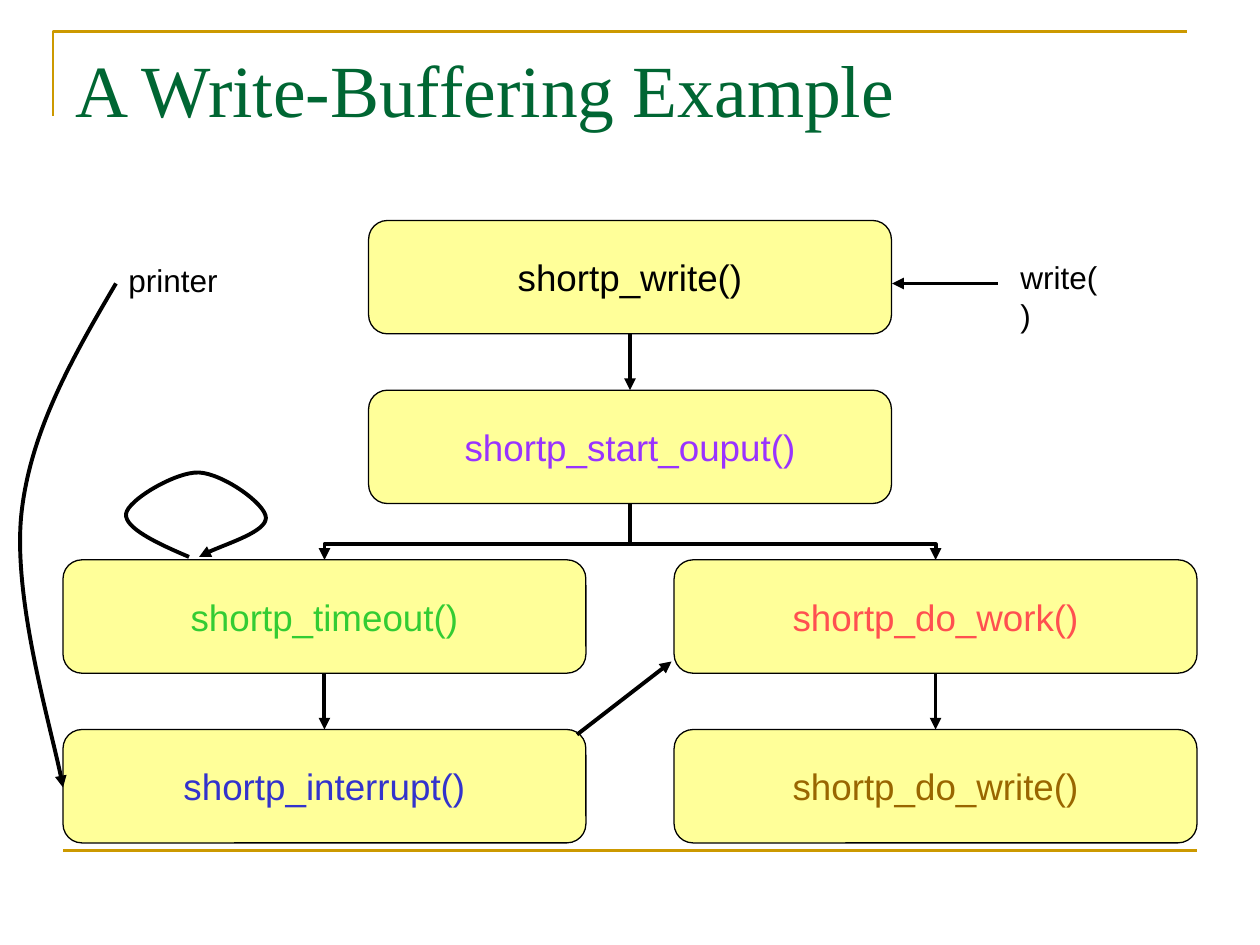
from dataclasses import dataclass

from lxml import etree
from pptx import Presentation
from pptx.dml.color import RGBColor
from pptx.enum.shapes import MSO_CONNECTOR, MSO_SHAPE
from pptx.enum.text import MSO_ANCHOR, MSO_AUTO_SIZE, PP_ALIGN
from pptx.oxml.ns import qn
from pptx.util import Inches, Pt

STRAIGHT, ELBOW = MSO_CONNECTOR.STRAIGHT, MSO_CONNECTOR.ELBOW
ROUND = MSO_SHAPE.ROUNDED_RECTANGLE
TOP, MIDDLE = MSO_ANCHOR.TOP, MSO_ANCHOR.MIDDLE
LEFT, CENTER = PP_ALIGN.LEFT, PP_ALIGN.CENTER
FIXED, GROW = MSO_AUTO_SIZE.NONE, MSO_AUTO_SIZE.SHAPE_TO_FIT_TEXT


@dataclass(frozen=True)
class Theme:
    title: str = "006633"
    rule: str = "CC9900"
    ink: str = "000000"
    box: str = "FFFF99"
    serif: str = "Times New Roman"
    sans: str = "Arial"
    title_size: float = 42
    box_size: float = 21
    label_size: float = 18
    rule_width: float = 1.5
    edge_width: float = 0.75
    arrow_width: float = 2.25


THEME = Theme()
WIDE, HIGH = 10, 7.5
X0, Y0 = 0.5, 1.75
COL, ROW = 4.85 / 2, 4.04 / 3
BOX_W, BOX_H = 4.15, 0.9

BOXES = [
    (1, 0, "shortp_write()", THEME.ink),
    (1, 1, "shortp_start_ouput()", "9933FF"),
    (0, 2, "shortp_timeout()", "33CC33"),
    (2, 2, "shortp_do_work()", "FF5050"),
    (0, 3, "shortp_interrupt()", "3333CC"),
    (2, 3, "shortp_do_write()", "996600"),
]
DROPS = [(1, 0), (0, 2), (2, 2)]
LABELS = [("printer", 0.92, 2.02, 0.91), ("write()", 8, 2, 0.89)]
ARROWS = [((4.58, 5.83), (5.33, 5.25)), ((7.92, 2.25), (7.08, 2.25))]
LOOP = [(1.5, 4.42), (1.24, 4.31), (0.99, 4.19), (1, 4.08),
        (1.01, 3.97), (1.4, 3.74), (1.58, 3.75),
        (1.77, 3.76), (2.11, 4), (2.11, 4.11),
        (2.11, 4.22), (1.69, 4.35), (1.58, 4.42)]
SWEEP = [(0.92, 2.25), (0.58, 2.83), (0.24, 3.42), (0.17, 4.08),
         (0.1, 4.75), (0.44, 5.89), (0.5, 6.25)]


def color(code):
    return RGBColor.from_string(code)


def corner(col, row):
    return X0 + col * COL, Y0 + row * ROW


def middle(col):
    return X0 + col * COL + BOX_W / 2


def write(frame, text, face, size, code, align=LEFT):
    frame.text = text
    para = frame.paragraphs[0]
    para.alignment = align
    para.font.name = face
    para.font.size = Pt(size)
    para.font.color.rgb = color(code)


def stroke(shape, code, width, arrow=False):
    shape.line.color.rgb = color(code)
    shape.line.width = Pt(width)
    if arrow:
        ln = shape.line._get_or_add_ln()
        etree.SubElement(ln, qn("a:tailEnd"), type="triangle")


def link(slide, start, end, kind=STRAIGHT, code=THEME.ink,
         width=THEME.arrow_width, arrow=True):
    ends = [Inches(n) for n in (*start, *end)]
    line = slide.shapes.add_connector(kind, *ends)
    stroke(line, code, width, arrow)
    etree.SubElement(line._element.spPr, qn("a:effectLst"))
    return line


def branch(slide, start, end, bend):
    (x1, y1), (x2, y2) = start, end
    mid_x, mid_y = (x1 + x2) / 2, (y1 + y2) / 2
    half_w, half_h = (y2 - y1) / 2, abs(x2 - x1) / 2
    side = 1 if x2 > x1 else -1
    line = link(slide, (mid_x + side * half_w, mid_y - half_h),
                (mid_x - side * half_w, mid_y + half_h), ELBOW)
    props = line._element.spPr
    turn = 270 if side > 0 else 90
    props.find(qn("a:xfrm")).set("rot", str(turn * 60000))
    guides = props.find(qn("a:prstGeom")).get_or_add_avLst()
    etree.SubElement(guides, qn("a:gd"), name="adj1",
                     fmla=f"val {round(bend * 100000)}")


def trace(slide, points, code, width, curved=False):
    spots = [(Inches(x), Inches(y)) for x, y in points]
    build = slide.shapes.build_freeform(*spots[0])
    build.add_line_segments(spots[1:], close=False)
    shape = build.convert_to_shape()
    shape.shadow.inherit = False
    shape.fill.background()
    stroke(shape, code, width, curved)
    if curved:
        steps = list(shape._element.iter(qn("a:lnTo")))
        route = steps[0].getparent()
        for i in range(0, len(steps), 3):
            curve = etree.SubElement(route, qn("a:cubicBezTo"))
            for step in steps[i:i + 3]:
                curve.append(step[0])
                route.remove(step)


def box(slide, col, row, text, code):
    x, y = corner(col, row)
    shape = slide.shapes.add_shape(
        ROUND, Inches(x), Inches(y), Inches(BOX_W), Inches(BOX_H))
    shape.shadow.inherit = False
    shape.fill.solid()
    shape.fill.fore_color.rgb = color(THEME.box)
    stroke(shape, THEME.ink, THEME.edge_width)
    frame = shape.text_frame
    frame.margin_left = frame.margin_right = 0
    frame.margin_top = frame.margin_bottom = 0
    frame.vertical_anchor = MIDDLE
    frame.word_wrap = False
    write(frame, text, THEME.sans, THEME.box_size, code, CENTER)


def label(slide, text, x, y, width):
    area = slide.shapes.add_textbox(
        Inches(x), Inches(y), Inches(width), Inches(0.4))
    frame = area.text_frame
    frame.word_wrap = False
    frame.auto_size = GROW
    write(frame, text, THEME.sans, THEME.label_size, THEME.ink)


def head(slide, text):
    title = slide.shapes.title
    title.left, title.top = Inches(0.5), Inches(0.3)
    title.width, title.height = Inches(9), Inches(1.25)
    frame = title.text_frame
    frame.auto_size = FIXED
    frame.vertical_anchor = TOP
    write(frame, text, THEME.serif, THEME.title_size, THEME.title)


def main():
    deck = Presentation()
    deck.slide_width, deck.slide_height = Inches(WIDE), Inches(HIGH)
    slide = deck.slides.add_slide(deck.slide_layouts[5])
    trace(slide, [(0.42, 0.92), (0.42, 0.25), (9.42, 0.25)],
          THEME.rule, THEME.rule_width)
    link(slide, (0.5, 6.75), (9.5, 6.75), code=THEME.rule,
         width=THEME.rule_width, arrow=False)
    head(slide, "A Write-Buffering Example")
    for col, row in DROPS:
        x, y = middle(col), corner(col, row)[1]
        link(slide, (x, y + BOX_H), (x, y + ROW))
    fork = middle(1), corner(1, 1)[1] + BOX_H
    for col in (2, 0):
        branch(slide, fork, (middle(col), corner(col, 2)[1]), 0.72)
    for item in BOXES:
        box(slide, *item)
    for item in LABELS:
        label(slide, *item)
    for start, end in ARROWS:
        link(slide, start, end)
    for points in (LOOP, SWEEP):
        trace(slide, points, THEME.ink, THEME.arrow_width, curved=True)
    deck.save("out.pptx")


if __name__ == "__main__":
    main()
